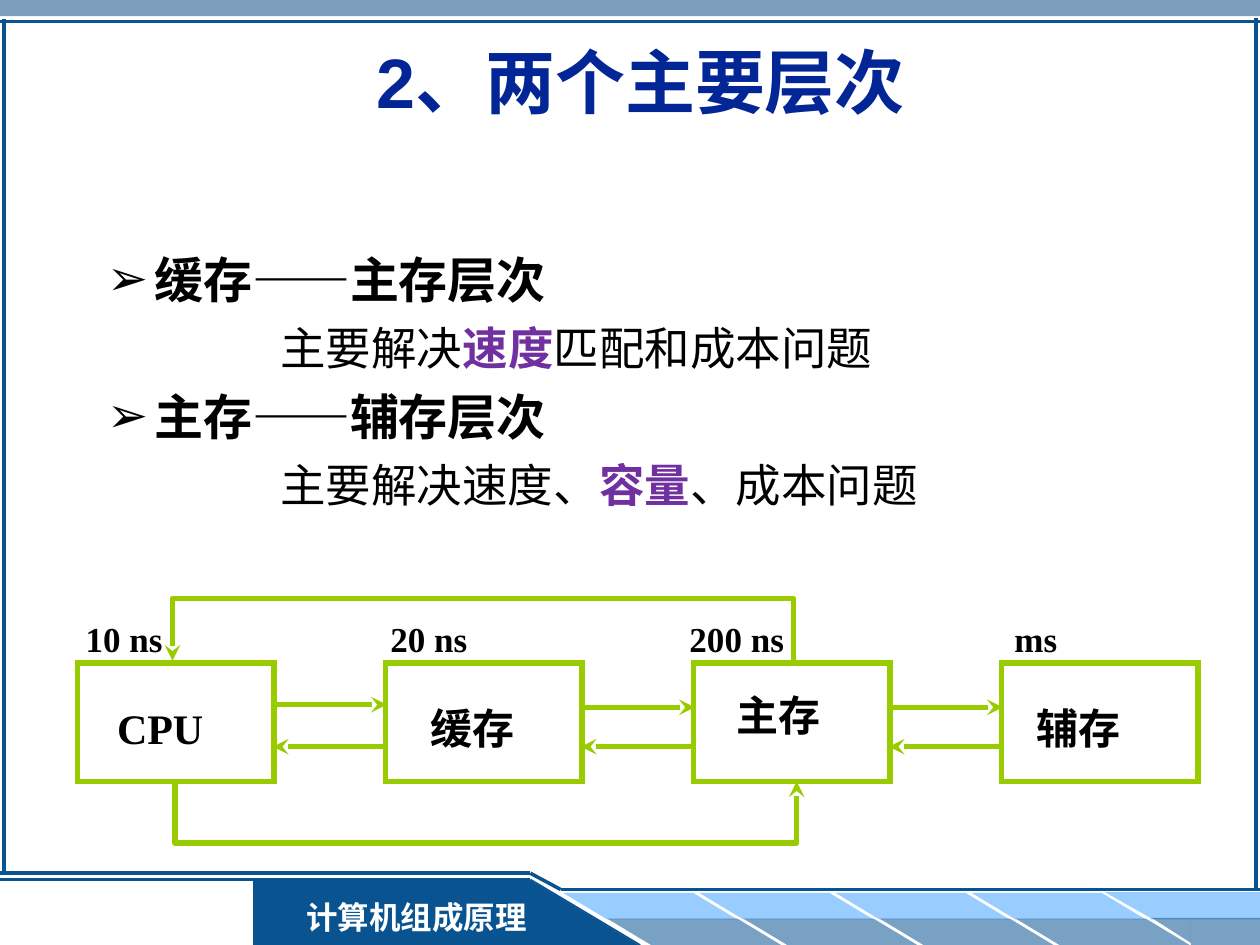
from dataclasses import dataclass

from lxml.etree import SubElement
from pptx import Presentation
from pptx.dml.color import RGBColor
from pptx.enum.shapes import MSO_CONNECTOR, MSO_SHAPE
from pptx.enum.text import MSO_ANCHOR, MSO_AUTO_SIZE, PP_ALIGN
from pptx.oxml.ns import qn
from pptx.util import Pt


@dataclass(frozen=True)
class Theme:
    heading_font: str = "Arial"
    label_font: str = "Times New Roman"
    navy: str = "095391"
    band: str = "336699"
    sky: str = "99CCFF"
    green: str = "99CC00"
    title: str = "032697"
    accent: str = "7030A0"
    text: str = "000000"
    light: str = "FFFFFF"
    title_size: int = 40
    level_size: int = 28
    detail_size: int = 26
    node_size: int = 24
    time_size: int = 20
    footer_size: int = 18


class SlideBuilder:
    def __init__(self, slide, theme):
        self.slide = slide
        self.shapes = slide.shapes
        self.theme = theme

    def style(self, font, size, color, bold=True, name=None):
        font.name = name or self.theme.label_font
        font.size = Pt(size)
        font.bold = bold
        font.color.rgb = RGBColor.from_string(color)

    def place(self, placeholder, left, top, width, height):
        placeholder.left, placeholder.top = Pt(left), Pt(top)
        placeholder.width, placeholder.height = Pt(width), Pt(height)
        self.shapes._spTree.append(placeholder._element)
        frame = placeholder.text_frame
        frame.auto_size = MSO_AUTO_SIZE.NONE
        frame.word_wrap = True
        return frame

    def title(self, wording, *box):
        frame = self.place(self.shapes.title, *box)
        frame.vertical_anchor = MSO_ANCHOR.MIDDLE
        heading = frame.paragraphs[0]
        heading.text = wording
        heading.alignment = PP_ALIGN.CENTER
        self.style(heading.font, self.theme.title_size, self.theme.title,
                   name=self.theme.heading_font)

    def body(self, levels, *box):
        frame = self.place(self.slide.placeholders[1], *box)
        frame.vertical_anchor = MSO_ANCHOR.TOP
        for number, (level, before, key, after) in enumerate(levels):
            heading = frame.add_paragraph() if number else frame.paragraphs[0]
            self.item(heading, self.theme.level_size, 7 if number else 0, 27, "➢")
            heading.add_run().text = level
            detail = frame.add_paragraph()
            self.item(detail, self.theme.detail_size, 6.5, 99)
            detail.add_run().text = before
            emphasis = detail.add_run()
            emphasis.text = key
            emphasis.font.bold = True
            emphasis.font.color.rgb = RGBColor.from_string(self.theme.accent)
            detail.add_run().text = after

    def item(self, paragraph, size, space, margin, bullet=None):
        properties = paragraph._p.get_or_add_pPr()
        properties.set("marL", str(Pt(margin)))
        properties.set("indent", str(-Pt(margin) if bullet else 0))
        if bullet:
            SubElement(properties, qn("a:buChar"), char=bullet)
        else:
            SubElement(properties, qn("a:buNone"))
        paragraph.space_before = Pt(space)
        self.style(paragraph.font, size, self.theme.text, bold=bool(bullet),
                   name=self.theme.heading_font)

    def panel(self, kind, left, top, width, height, fill=None, alpha=100,
              outline=None, flip="", slant=None):
        panel = self.shapes.add_shape(kind, Pt(left), Pt(top), Pt(width), Pt(height))
        panel.shadow.inherit = False
        if slant:
            panel.adjustments[0] = slant
        for axis in flip:
            panel._element.spPr.xfrm.set("flip" + axis, "1")
        if fill:
            panel.fill.solid()
            panel.fill.fore_color.rgb = RGBColor.from_string(fill)
            if alpha < 100:
                color = panel._element.spPr.find(qn("a:solidFill"))[0]
                SubElement(color, qn("a:alpha"), val=str(alpha * 1000))
        else:
            panel.fill.background()
        if outline:
            self.stroke(panel, outline, 3)
            SubElement(panel.line._get_or_add_ln(), qn("a:miter"), lim="800000")
        else:
            panel.line.fill.background()
        return panel

    def stroke(self, shape, color, weight, arrow=False):
        shape.line.color.rgb = RGBColor.from_string(color)
        shape.line.width = Pt(weight)
        if arrow:
            SubElement(shape.line._get_or_add_ln(), qn("a:tailEnd"), type="stealth")

    def line(self, x1, y1, x2, y2, color, weight=2, arrow=False):
        line = self.shapes.add_connector(MSO_CONNECTOR.STRAIGHT,
                                         Pt(x1), Pt(y1), Pt(x2), Pt(y2))
        self.stroke(line, color, weight, arrow)
        SubElement(line._element.spPr, qn("a:effectLst"))

    def bracket(self, start, end, base, level):
        builder = self.shapes.build_freeform(Pt(start), Pt(base))
        corners = ((start, level), (end, level), (end, base))
        builder.add_line_segments([(Pt(x), Pt(y)) for x, y in corners], close=False)
        bracket = builder.convert_to_shape()
        bracket.shadow.inherit = False
        bracket.fill.background()
        self.stroke(bracket, self.theme.green, 3, arrow=True)

    def label(self, wording, left, top, width, height, size, wrap):
        frame = self.shapes.add_textbox(Pt(left), Pt(top), Pt(width), Pt(height)).text_frame
        frame.word_wrap = wrap
        frame.auto_size = MSO_AUTO_SIZE.SHAPE_TO_FIT_TEXT
        frame.text = wording
        self.style(frame.paragraphs[0].font, size, self.theme.text)

    def footer(self, wording, *box):
        frame = self.panel(MSO_SHAPE.RECTANGLE, *box, fill=self.theme.navy).text_frame
        frame.word_wrap = True
        frame.vertical_anchor = MSO_ANCHOR.TOP
        frame.text = wording
        frame.paragraphs[0].alignment = PP_ALIGN.CENTER
        self.style(frame.paragraphs[0].font, self.theme.footer_size, self.theme.light)


def draw_frame(page):
    theme = page.theme
    rectangle, triangle = MSO_SHAPE.RECTANGLE, MSO_SHAPE.RIGHT_TRIANGLE
    page.panel(rectangle, 0, 0, 720, 9.2, theme.band, 63)
    page.panel(rectangle, 144.7, 502.6, 158.4, 37.4, theme.navy)
    rows = ((321.8, 510.2, theme.sky, 100), (347, 524.9, theme.navy, 54))
    for column in range(4):
        for left, top, fill, alpha in rows:
            page.panel(MSO_SHAPE.PARALLELOGRAM, left + 77.8 * column, top, 99.4, 15.1,
                       fill, alpha, flip="H", slant=1.66)
    ends = ((657.4, 509.8, 62.6, 631.4, 27.4, 15.5, theme.sky, 100),
            (680.6, 524.5, 39.4, 658.1, 22.5, 14.4, theme.navy, 54))
    for left, top, width, corner, corner_width, height, fill, alpha in ends:
        page.panel(rectangle, left, top, width, 15.5, fill, alpha)
        page.panel(triangle, corner, top, corner_width, height, fill, alpha, flip="HV")
    page.footer("计算机组成原理", 164.2, 509.8, 147.6, 28.8)
    page.panel(triangle, 302.4, 502.6, 62.6, 37.4, theme.navy)
    borders = ((2.2, 10.8, 2.2, 499, 2), (365.8, 540, 303.1, 502.6, 1),
               (303.1, 502.6, 0, 502.6, 1.5), (0, 499, 303.1, 499, 2),
               (303.1, 499, 320.4, 508.3, 2), (320.4, 508.3, 720, 508.3, 2),
               (0, 12.2, 720, 12.2, 2), (717.8, 10.1, 717.8, 509, 2))
    for *ends, weight in borders:
        page.line(*ends, theme.navy, weight)


def draw_hierarchy(page):
    theme = page.theme
    first, pitch, top, width, height = 44.4, 176, 378.9, 112.2, 67.7
    nodes = (("CPU", 59.8, 397.8, "10 ns", 41.8, 58.3),
             ("缓存", 239, 397.8, "20 ns", 216, 58.3),
             ("主存", 413.6, 390.4, "200 ns", 386.9, 68.4),
             ("辅存", 585.4, 397.8, "ms", 572.6, 38.9))
    for column, (name, name_left, name_top, time, time_left, time_width) in enumerate(nodes):
        page.label(name, name_left, name_top, 94, 36, theme.node_size, True)
        page.panel(MSO_SHAPE.RECTANGLE, first + pitch * column, top, width, height,
                   outline=theme.green)
        page.label(time, time_left, 349.2, time_width, 31.7, theme.time_size, False)
    page.bracket(100, 455.2, top + height, 481.7)
    page.bracket(453.6, 98.6, top - 1.4, 342)
    for column, forward in enumerate((402.7, 404.2, 404.2)):
        left = first + width + pitch * column
        right = first + pitch * (column + 1)
        page.line(left, forward, right + 0.6, forward, theme.green, 3, arrow=True)
        page.line(right, 426.7, left - 0.6, 426.7, theme.green, 3, arrow=True)


def main():
    deck = Presentation()
    deck.slide_width, deck.slide_height = Pt(720), Pt(540)
    page = SlideBuilder(deck.slides.add_slide(deck.slide_layouts[1]), Theme())
    draw_frame(page)
    page.title("2、两个主要层次", 25.2, 20.2, 681.8, 51.1)
    page.body((("缓存——主存层次", "主要解决", "速度", "匹配和成本问题"),
               ("主存——辅存层次", "主要解决速度、", "容量", "、成本问题")),
              54, 139, 645.1, 370.8)
    draw_hierarchy(page)
    deck.save("out.pptx")


if __name__ == "__main__":
    main()
